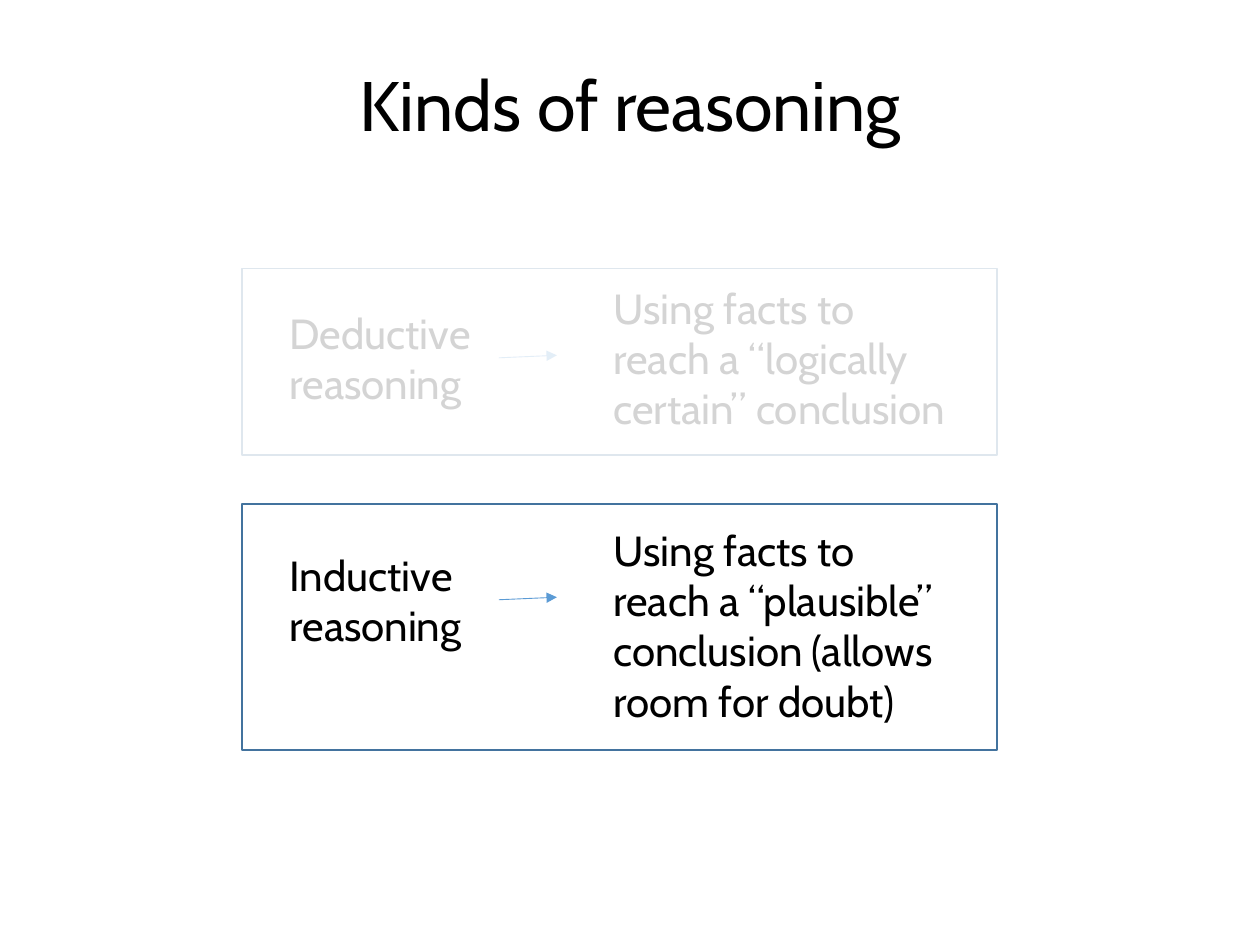
from dataclasses import dataclass

from lxml import etree
from pptx import Presentation
from pptx.dml.color import RGBColor
from pptx.enum.shapes import MSO_CONNECTOR, MSO_SHAPE
from pptx.enum.text import MSO_ANCHOR, MSO_AUTO_SIZE, PP_ALIGN
from pptx.oxml.ns import qn
from pptx.util import Inches, Pt


@dataclass(frozen=True)
class Theme:
    font: str = "Cabin"
    text: RGBColor = RGBColor(0, 0, 0)
    arrow: RGBColor = RGBColor(0x5B, 0x9B, 0xD5)
    border: RGBColor = RGBColor(0x43, 0x73, 0x9E)
    veil: RGBColor = RGBColor(255, 255, 255)
    title_size: Pt = Pt(40)
    body_size: Pt = Pt(24)


theme = Theme()
presentation = Presentation()
presentation.slide_width = Inches(10)
presentation.slide_height = Inches(7.5)
slide = presentation.slides.add_slide(presentation.slide_layouts[6])


def add_text(text, left, top, width, height, size):
    box = slide.shapes.add_textbox(Inches(left), Inches(top), Inches(width), Inches(height))
    box.text_frame.word_wrap = True
    paragraph = box.text_frame.paragraphs[0]
    paragraph.text = text
    paragraph.font.name = theme.font
    paragraph.font.size = size
    paragraph.font.color.rgb = theme.text
    return box.text_frame


def add_rectangle(left, top, width, height):
    shape = slide.shapes.add_shape(
        MSO_SHAPE.RECTANGLE, Inches(left), Inches(top), Inches(width), Inches(height)
    )
    shape.shadow.inherit = False
    return shape


title = add_text("Kinds of reasoning", 0.69, 0.4, 8.62, 0.92, theme.title_size)
title.vertical_anchor = MSO_ANCHOR.MIDDLE
title.paragraphs[0].alignment = PP_ALIGN.CENTER
title.paragraphs[0].line_spacing = 0.9

kinds = [
    ("Deductive reasoning", "Using facts to reach a “logically certain” conclusion",
     2.19, 1.31, 2.13, 1.48),
    ("Inductive reasoning", "Using facts to reach a “plausible” conclusion (allows room for doubt)",
     4.11, 1.72, 4, 1.95),
]
for name, meaning, text_top, text_height, frame_top, frame_height in kinds:
    for text_frame in (
        add_text(name, 2.2, text_top + 0.2, 1.85, 0.91, theme.body_size),
        add_text(meaning, 4.77, text_top, 2.88, text_height, theme.body_size),
    ):
        text_frame.auto_size = MSO_AUTO_SIZE.SHAPE_TO_FIT_TEXT

    arrow = slide.shapes.add_connector(
        MSO_CONNECTOR.STRAIGHT,
        Inches(3.96), Inches(text_top + 0.65), Inches(4.42), Inches(text_top + 0.63),
    )
    arrow.line.color.rgb = theme.arrow
    arrow.line.width = Pt(0.5)
    etree.SubElement(arrow.line._get_or_add_ln(), qn("a:tailEnd"), type="triangle")
    etree.SubElement(arrow._element.spPr, qn("a:effectLst"))

    frame = add_rectangle(1.92, frame_top, 5.99, frame_height)
    frame.fill.background()
    frame.line.color.rgb = theme.border
    frame.line.width = Pt(1)

veil = add_rectangle(0.3, 1.7, 9.24, 1.94)
veil.fill.solid()
veil.fill.fore_color.rgb = theme.veil
veil.line.fill.background()
veil_color = veil._element.spPr.find(qn("a:solidFill")).find(qn("a:srgbClr"))
etree.SubElement(veil_color, qn("a:alpha"), val="83000")

presentation.save("out.pptx")
